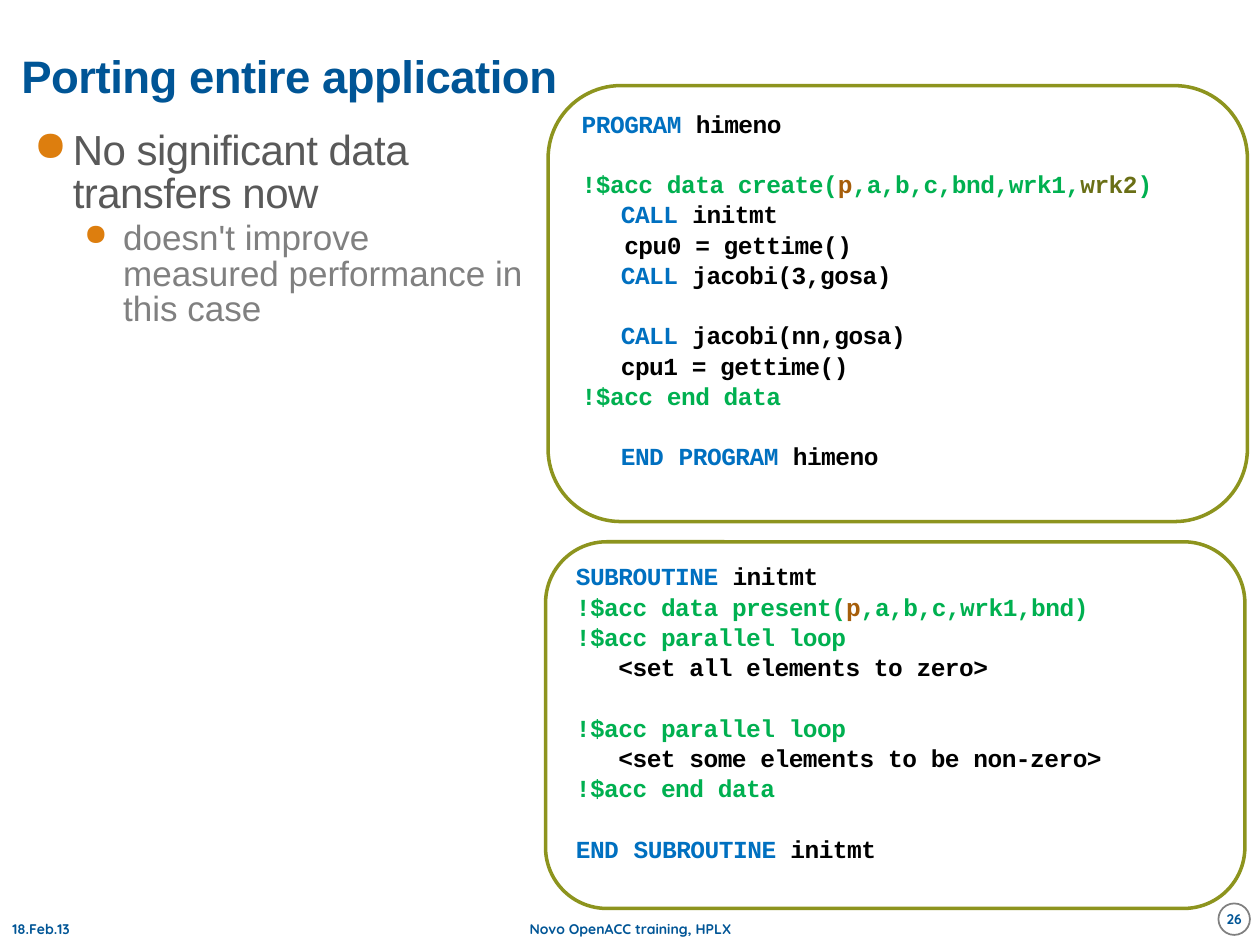
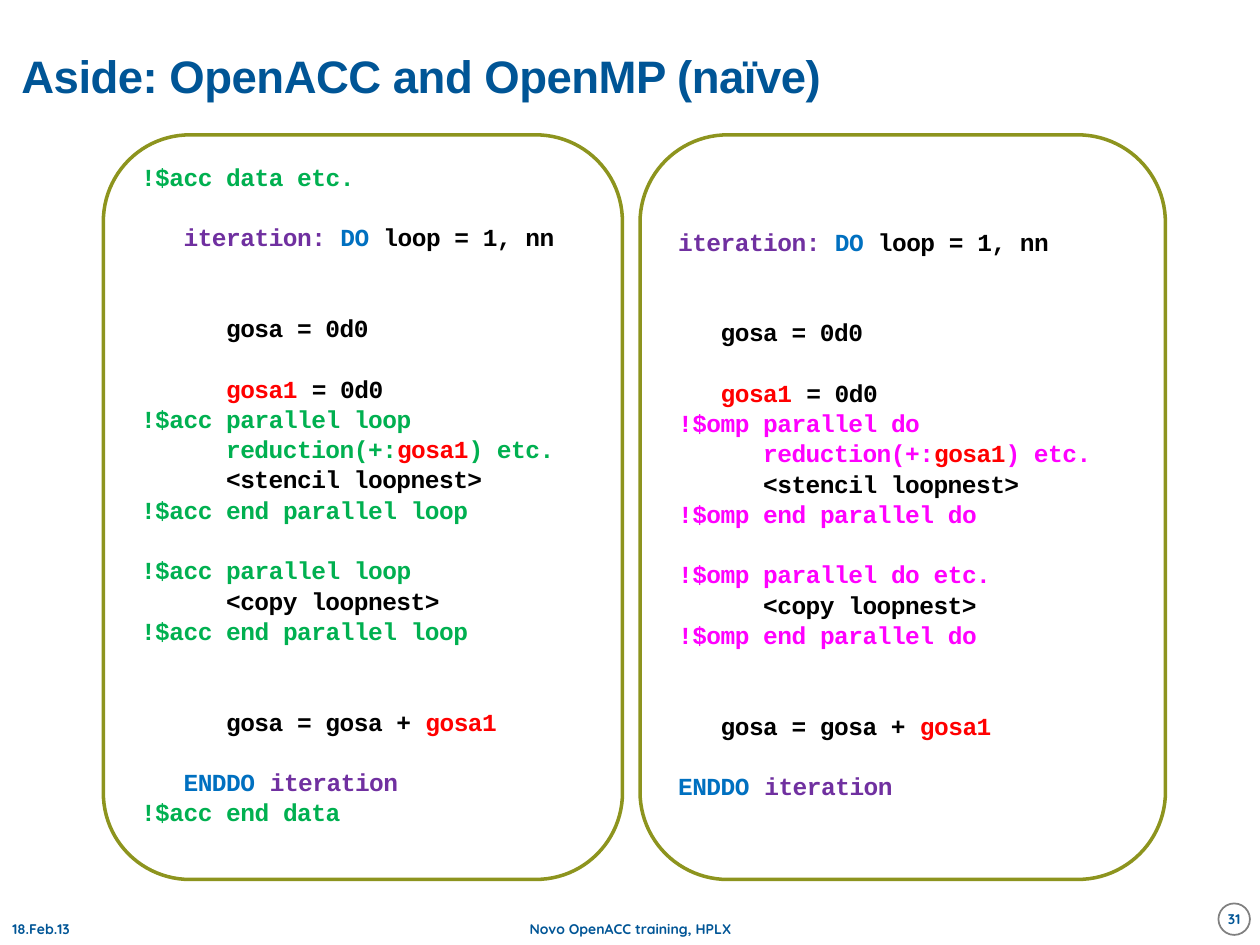
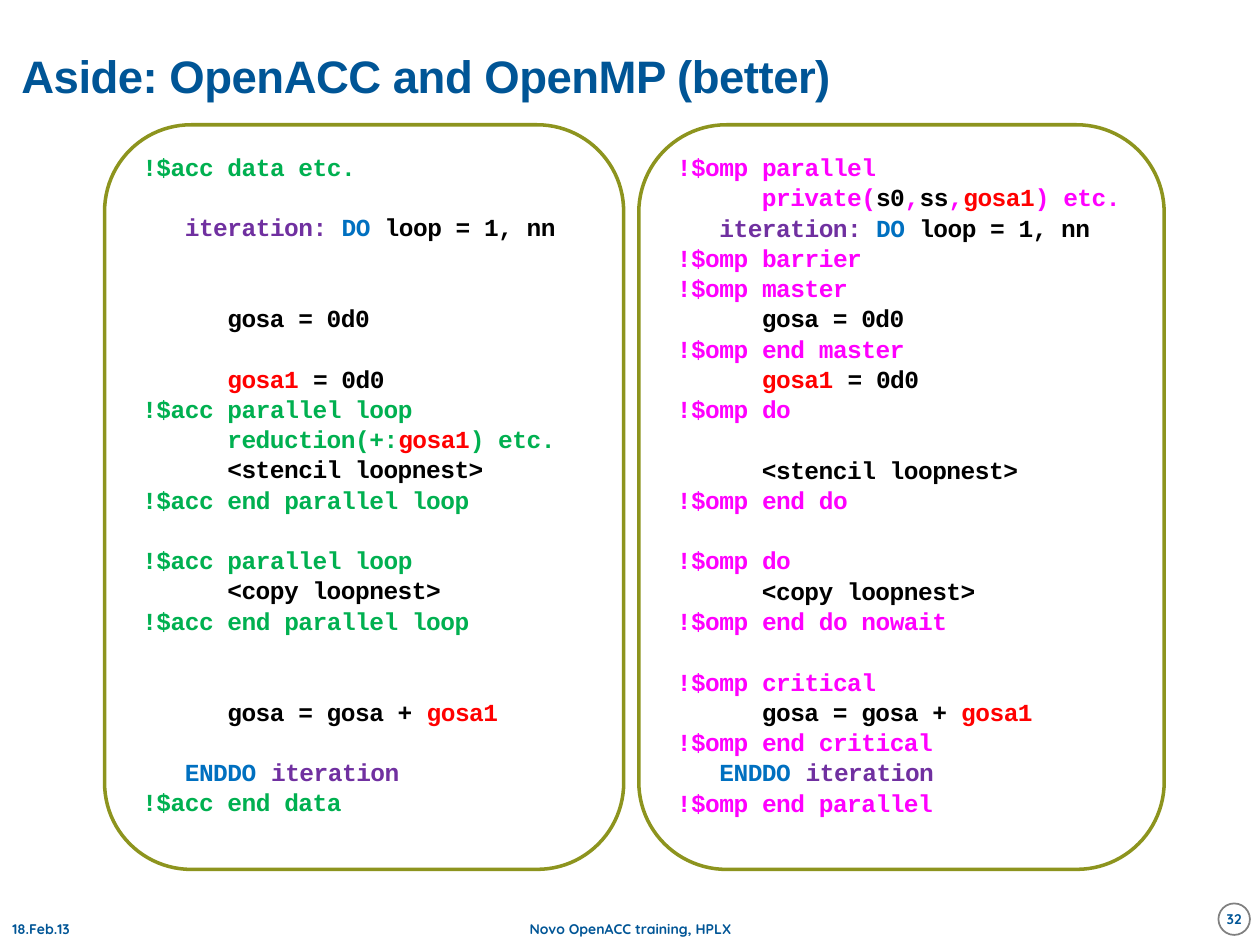
"""Build three slides of OpenACC and OpenMP code listings."""
from itertools import groupby

from lxml.etree import SubElement
from pptx import Presentation
from pptx.dml.color import RGBColor
from pptx.enum.shapes import MSO_SHAPE as SHAPE
from pptx.enum.text import MSO_ANCHOR as ANCHOR, PP_ALIGN as ALIGN
from pptx.oxml.ns import qn
from pptx.util import Inches, Pt

COLORS = {
    "white": "FFFFFF", "title": "005596", "ring": "808080", "panel": "8D941E",
    "bullet": "DD7E0E", "level0": "595959", "level1": "808080",
    "code": "000000", "keyword": "0070C0", "label": "7030A0", "private": "FF0000",
    "pressure": "A65E0B", "work": "6A6F16", "!$acc": "00B050", "!$omp": "FF00FF",
}
HIGHLIGHTS = {
    **dict.fromkeys(["PROGRAM", "SUBROUTINE", "END", "CALL", "DO", "ENDDO"], "keyword"),
    "iteration": "label", ": ": "label", "gosa1": "private",
    "p": "pressure", "wrk2": "work", "s0": "code", "ss": "code",
}
CONTINUATIONS = ("reduction", "private")
DELIMITERS = "(),+: "
TIGHT = -0.3
HANGING = 0.31
CHARACTER_WIDTH = 0.1125
BLANK_LINE = 17.3
LEADING_BLANK = 0.255
DATE = "18.Feb.13"
FOOTER = "Novo OpenACC training, HPLX"

PROGRAM = """PROGRAM himeno

!$acc data create(p,a,b,c,bnd,wrk1,wrk2)
\tCALL initmt
   cpu0 = gettime()
\tCALL jacobi(3,gosa)

\tCALL jacobi(nn,gosa)
\tcpu1 = gettime()
!$acc end data

\tEND PROGRAM himeno"""

SUBROUTINE = """SUBROUTINE initmt
!$acc data present(p,a,b,c,wrk1,bnd)
!$acc parallel loop
   <set all elements to zero>

!$acc parallel loop
   <set some elements to be non-zero>
!$acc end data

END SUBROUTINE initmt"""

ACC_LOOP = """!$acc data etc.

   iteration: DO loop = 1, nn


      gosa = 0d0

      gosa1 = 0d0
!$acc parallel loop
      reduction(+:gosa1) etc.
      <stencil loopnest>
!$acc end parallel loop

!$acc parallel loop
      <copy loopnest>
!$acc end parallel loop


      gosa = gosa + gosa1

   ENDDO iteration
!$acc end data"""

OMP_NAIVE = """

iteration: DO loop = 1, nn


   gosa = 0d0

   gosa1 = 0d0
!$omp parallel do
      reduction(+:gosa1) etc.
      <stencil loopnest>
!$omp end parallel do

!$omp parallel do etc.
      <copy loopnest>
!$omp end parallel do


   gosa = gosa + gosa1

ENDDO iteration"""

OMP_BETTER = """!$omp parallel
      private(s0,ss,gosa1) etc.
   iteration: DO loop = 1, nn
!$omp barrier
!$omp master
      gosa = 0d0
!$omp end master
      gosa1 = 0d0
!$omp do

      <stencil loopnest>
!$omp end do

!$omp do
      <copy loopnest>
!$omp end do nowait

!$omp critical
      gosa = gosa + gosa1
!$omp end critical
   ENDDO iteration
!$omp end parallel"""

SLIDES = [
    {"title": "Porting entire application", "number": 26,
     "bullets": ["No significant data transfers now",
                 "doesn't improve measured performance in this case"],
     "panels": [((4.33, 4.3, 5.55, 2.91), SUBROUTINE), ((4.35, 0.68, 5.55, 3.46), PROGRAM)]},
    {"title": "Aside: OpenACC and OpenMP (naïve)", "number": 31, "bullets": [],
     "panels": [((0.82, 1.07, 4.12, 5.91), ACC_LOOP), ((5.08, 1.07, 4.17, 5.91), OMP_NAIVE)]},
    {"title": "Aside: OpenACC and OpenMP (better)", "number": 32, "bullets": [],
     "panels": [((0.83, 0.99, 4.12, 5.91), ACC_LOOP), ((5.07, 0.99, 4.17, 5.91), OMP_BETTER)]},
]
BULLET_STYLES = [(24, HANGING, TIGHT, 100), (20, 0.71, 0, 85)]


def rgb(name):
    return RGBColor.from_string(COLORS[name])


def set_font(paragraph, name, size, color=None, bold=False):
    font = paragraph.font
    font.name, font.size, font.bold = name, Pt(size), bold
    if color:
        font.color.rgb = rgb(color)


def add_run(paragraph, text, spacing=0):
    run = paragraph.add_run()
    run.text = text
    if spacing:
        run.font._element.set("spc", str(round(spacing * 100)))
    return run


def set_spacing(paragraph, left, blanks=0):
    paragraph.line_spacing = 0.85
    paragraph.space_before = Pt(1.5 + blanks * BLANK_LINE)
    paragraph.space_after = Pt(1.5)
    properties = paragraph._p.get_or_add_pPr()
    properties.set("marL", str(Inches(left)))
    properties.set("indent", str(-Inches(HANGING)))
    return properties


def prepare_frame(shape, anchor, inset=None):
    frame = shape.text_frame
    frame.word_wrap = True
    frame.vertical_anchor = anchor
    if inset is not None:
        frame.margin_left = frame.margin_right = Inches(inset)
        frame.margin_top = frame.margin_bottom = Inches(inset)
    return frame


def add_text_box(slide, place, anchor=ANCHOR.MIDDLE, inset=None):
    return prepare_frame(slide.shapes.add_textbox(*map(Inches, place)), anchor, inset)


def add_outlined(slide, kind, place, line, width):
    shape = slide.shapes.add_shape(kind, *map(Inches, place))
    shape.shadow.inherit = False
    shape.fill.solid()
    shape.fill.fore_color.rgb = rgb("white")
    shape.line.color.rgb = rgb(line)
    shape.line.width = Pt(width)
    return shape


def add_title(slide, text):
    paragraph = add_text_box(slide, (0.17, 0.17, 8, 0.92), inset=0).paragraphs[0]
    paragraph.line_spacing = 0.85
    set_font(paragraph, "Arial", 26, "title", True)
    add_run(paragraph, text, TIGHT)


def add_footer(slide, number):
    badge = add_outlined(slide, SHAPE.OVAL, (9.67, 7.17, 0.25, 0.25), "ring", 1)
    for frame, text, align in [
        (add_text_box(slide, (0, 7.25, 2.33, 0.25)), DATE, ALIGN.LEFT),
        (add_text_box(slide, (3.42, 7.25, 3.17, 0.25)), FOOTER, ALIGN.CENTER),
        (prepare_frame(badge, ANCHOR.MIDDLE, 0), str(number), ALIGN.CENTER),
    ]:
        paragraph = frame.paragraphs[0]
        paragraph.alignment = align
        set_font(paragraph, "Quicksand", 8, "title", True)
        add_run(paragraph, text)


def add_bullets(slide, bullets):
    frame = add_text_box(slide, (0.17, 0.99, 4.17, 6.09), ANCHOR.TOP)
    for level, text in enumerate(bullets):
        size, left, spacing, bullet_size = BULLET_STYLES[level]
        paragraph = frame.add_paragraph() if level else frame.paragraphs[0]
        paragraph.level = level
        properties = set_spacing(paragraph, left)
        color = SubElement(properties, qn("a:buClr"))
        SubElement(color, qn("a:srgbClr"), val=COLORS["bullet"])
        SubElement(properties, qn("a:buSzPct"), val=str(bullet_size * 1000))
        SubElement(properties, qn("a:buChar"), char="●")
        set_font(paragraph, "Arial", size, f"level{level}")
        add_run(paragraph, text, spacing)


def color_spans(text, base):
    """Split a code line into runs of one colour."""
    tokens = ["".join(group) for _, group in groupby(text, lambda c: c in DELIMITERS)]
    colored = [(HIGHLIGHTS.get(token, base), token) for token in tokens]
    for color, group in groupby(colored, lambda pair: pair[0]):
        yield color, "".join(token for _, token in group)


def add_listing(slide, place, listing):
    panel = add_outlined(slide, SHAPE.ROUNDED_RECTANGLE, place, "panel", 2)
    frame = prepare_frame(panel, ANCHOR.TOP)
    paragraph, blanks, directive = None, 0, "code"
    for line in listing.split("\n"):
        text = line.lstrip()
        if not text:
            blanks += 1
            continue
        if paragraph is None:
            paragraph = frame.paragraphs[0]
            frame.margin_top = Inches(0.05 + blanks * LEADING_BLANK)
            blanks = 0
        else:
            paragraph = frame.add_paragraph()
        depth = len(line) - len(text)
        indent = HANGING if line.startswith("\t") else depth * CHARACTER_WIDTH
        paragraph.alignment = ALIGN.LEFT
        set_spacing(paragraph, HANGING + indent, blanks)
        set_font(paragraph, "Courier New", 14, bold=True)
        if text.startswith("!$"):
            directive = text[:5]
        is_directive = text.startswith(("!$", *CONTINUATIONS))
        for color, span in color_spans(text, directive if is_directive else "code"):
            add_run(paragraph, span, TIGHT).font.color.rgb = rgb(color)
        blanks = 0


def main():
    presentation = Presentation()
    presentation.slide_width, presentation.slide_height = Inches(10), Inches(7.5)
    for content in SLIDES:
        slide = presentation.slides.add_slide(presentation.slide_layouts[6])
        add_title(slide, content["title"])
        if content["bullets"]:
            add_bullets(slide, content["bullets"])
        for place, listing in content["panels"]:
            add_listing(slide, place, listing)
        add_footer(slide, content["number"])
    presentation.save("out.pptx")


if __name__ == "__main__":
    main()
